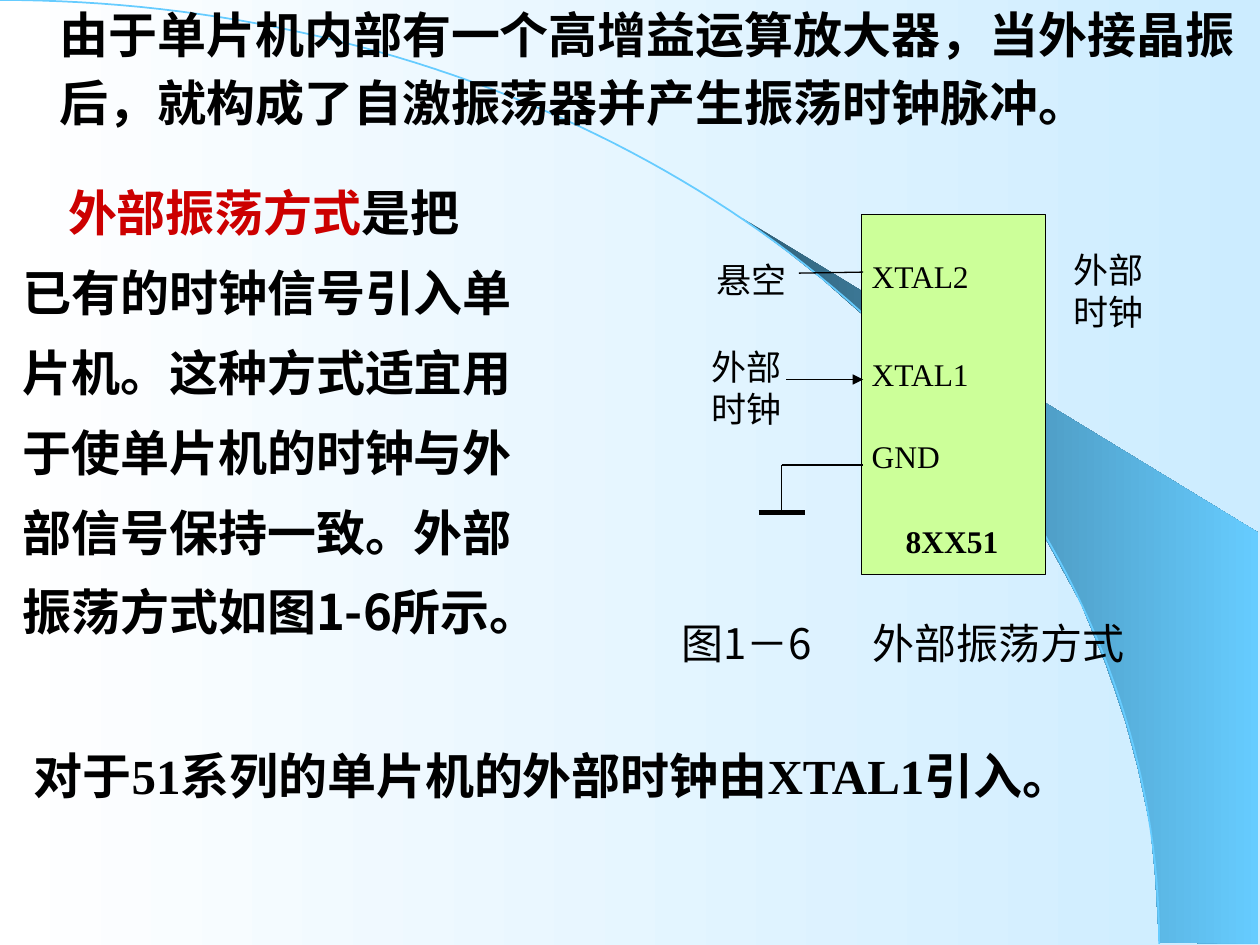
from math import cos, pi, sin

from pptx import Presentation
from pptx.dml.color import RGBColor
from pptx.enum.shapes import MSO_CONNECTOR as Connector, MSO_SHAPE as Shape
from pptx.oxml.ns import qn
from pptx.util import Pt

THEME = {
    "colours": {"ink": "000000", "accent": "CC0000", "chip": "CCFF99", "arc": "66CCFF",
                "shade": "2F5E76", "light": "FFFFFF", "sky": "CCECFF"},
    "asian_font": "Noto Sans CJK SC",
    "fonts": {
        "body": {"name": "Noto Sans CJK SC", "size": Pt(28), "bold": True},
        "conclusion": {"name": "Times New Roman", "size": Pt(28), "bold": True},
        "label": {"name": "Times New Roman", "size": Pt(20), "bold": False},
        "pin": {"name": "Times New Roman", "size": Pt(18), "bold": False},
        "chip": {"name": "Times New Roman", "size": Pt(18), "bold": True},
        "caption": {"name": "Noto Sans CJK SC", "size": Pt(24), "bold": False},
    },
    "spacing": {"body": 1.15, "conclusion": 1.15, "caption": 1.2},
}

# Content: (left, top, width, height) in points, then paragraphs of (text, colour) spans
INTRO = ((0, -5.8, 720, 156), [
    [("由于单片机内部有一个高增益运算放大器，当外接晶振后，就构成了自激振荡器并产生振荡时钟脉冲。", "ink")]])
METHOD = ((5.8, 95.8, 378, 332), [
    [("外部振荡方式", "accent"), ("是把", "ink")],
    [("已有的时钟信号引入单", "ink")],
    [("片机。这种方式适宜用", "ink")],
    [("于使单片机的时钟与外", "ink")],
    [("部信号保持一致。外部", "ink")],
    [("振荡方式如图1-6所示。", "ink")]])
CHIP = (492.5, 122.4, 105.1, 205.9)
DIAGRAM_TEXTS = [
    ("conclusion", "对于51系列的单片机的外部时钟由XTAL1引入。", (12.2, 417.6, 707.8, 46)),
    ("label", "外部时钟", (399.6, 193.7, 67.7, 55.4)),
    ("label", "外部时钟", (606.2, 138.2, 63.4, 55.4)),
    ("label", "悬空", (402.5, 144, 79, 31.5)),
    ("chip", "8XX51", (510.5, 294.5, 113, 29)),
]
PINS = [("XTAL2", 143.3), ("XTAL1", 199.4), ("GND", 246.2)]
CAPTION = ("图1－6\t外部振荡方式", (382.3, 343.4, 309, 42))
CAPTION_TAB = 109

PIN_END, GROUND_X, GROUND_TOP, GROUND_BASE = 493.2, 446.6, 265.7, 293
# Start, end, line width, arrowhead
WIRES = [
    ((449.3, 216.9), (PIN_END, 216.9), 0.75, True),
    ((456.5, 156.1), (PIN_END, 155.5), 0.75, False),
    ((GROUND_X, GROUND_TOP), (PIN_END, GROUND_TOP), 0.75, False),
    ((GROUND_X, GROUND_TOP), (GROUND_X, GROUND_BASE), 0.75, False),
    ((433.5, GROUND_BASE), (460, GROUND_BASE), 3, False),
]

# Background outlines in points
SWOOSH = [
    (662.4, 538.6), (719.3, 539.3), (719.3, 304.6), (424.1, 124.6), (449.3, 143.3),
    (470.2, 159.8), (493.2, 180), (515.5, 201.6), (548.6, 237.6), (578.2, 276.5),
    (599, 310.3), (617.8, 344.9), (632.2, 380.2), (643, 411.8), (650.2, 438.5),
    (657.4, 472.3), (660.2, 501.1)]
ARC_WIDTH, ARC_HEIGHT, ARC_STEPS = 662.4, 539.3, 90
ARC = [(ARC_WIDTH * sin(angle), ARC_HEIGHT * (1 - cos(angle)))
       for angle in (pi / 2 * step / ARC_STEPS for step in range(ARC_STEPS + 1))]


def colour(name):
    return RGBColor.from_string(THEME["colours"][name])


def set_gradient(fill, *names):
    fill.gradient()
    fill.gradient_angle = 0
    for stop, name in zip(fill.gradient_stops, names):
        stop.color.rgb = colour(name)


def add_outline(page, points, close):
    (left, top), *rest = [(Pt(x), Pt(y)) for x, y in points]
    builder = page.shapes.build_freeform(left, top)
    builder.add_line_segments(rest, close=close)
    shape = builder.convert_to_shape()
    shape.shadow.inherit = False
    return shape


def add_text(page, style, frame, paragraphs):
    box = page.shapes.add_textbox(*map(Pt, frame))
    box.text_frame.word_wrap = True
    for index, spans in enumerate(paragraphs):
        para = box.text_frame.paragraphs[0] if index == 0 else box.text_frame.add_paragraph()
        para.line_spacing = THEME["spacing"].get(style, 1.0)
        para.space_before = Pt(7 if index else 0)
        for text, name in spans:
            span = para.add_run()
            span.text = text
            for key, value in THEME["fonts"][style].items():
                setattr(span.font, key, value)
            span.font.color.rgb = colour(name)
            properties = span.font._element
            asian = properties.makeelement(qn("a:ea"), {"typeface": THEME["asian_font"]})
            properties.append(asian)
    return box.text_frame.paragraphs[0]


def indent(para, **values):
    for key, value in values.items():
        para._p.get_or_add_pPr().set(key, str(Pt(value)))


def add_wire(page, start, end, width, arrow):
    wire = page.shapes.add_connector(Connector.STRAIGHT, *map(Pt, start + end))
    wire.line.color.rgb = colour("ink")
    wire.line.width = Pt(width)
    if arrow:
        line = wire.line._get_or_add_ln()
        line.append(line.makeelement(qn("a:tailEnd"), {"type": "triangle"}))
    drawing = wire._element.spPr
    drawing.append(drawing.makeelement(qn("a:effectLst"), {}))


def main():
    deck = Presentation()
    deck.slide_width, deck.slide_height = Pt(720), Pt(540)
    page = deck.slides.add_slide(deck.slide_layouts[6])

    # Background
    set_gradient(page.background.fill, "light", "sky")
    swoosh = add_outline(page, SWOOSH, True)
    set_gradient(swoosh.fill, "shade", "arc")
    swoosh.line.fill.background()
    arc = add_outline(page, ARC, False)
    arc.fill.background()
    arc.line.color.rgb = colour("arc")
    arc.line.width = Pt(1)

    # Running text
    indent(add_text(page, "body", *INTRO), marL=27, indent=0)
    indent(add_text(page, "body", *METHOD), marL=0, indent=26)

    # Chip with its pins and wires
    chip = page.shapes.add_shape(Shape.RECTANGLE, *map(Pt, CHIP))
    chip.shadow.inherit = False
    chip.fill.solid()
    chip.fill.fore_color.rgb = colour("chip")
    chip.line.color.rgb = colour("ink")
    chip.line.width = Pt(0.75)
    for style, text, frame in DIAGRAM_TEXTS:
        add_text(page, style, frame, [[(text, "ink")]])
    for text, top in PINS:
        add_text(page, "pin", (491, top, 92, 29), [[(text, "ink")]])
    for wire in WIRES:
        add_wire(page, *wire)

    # Caption, its number and wording set apart by a tab stop
    text, frame = CAPTION
    properties = add_text(page, "caption", frame, [[(text, "ink")]])._p.get_or_add_pPr()
    tabs = properties.makeelement(qn("a:tabLst"), {})
    tabs.append(tabs.makeelement(qn("a:tab"), {"pos": str(Pt(CAPTION_TAB)), "algn": "l"}))
    properties.append(tabs)

    deck.save("out.pptx")


if __name__ == "__main__":
    main()
